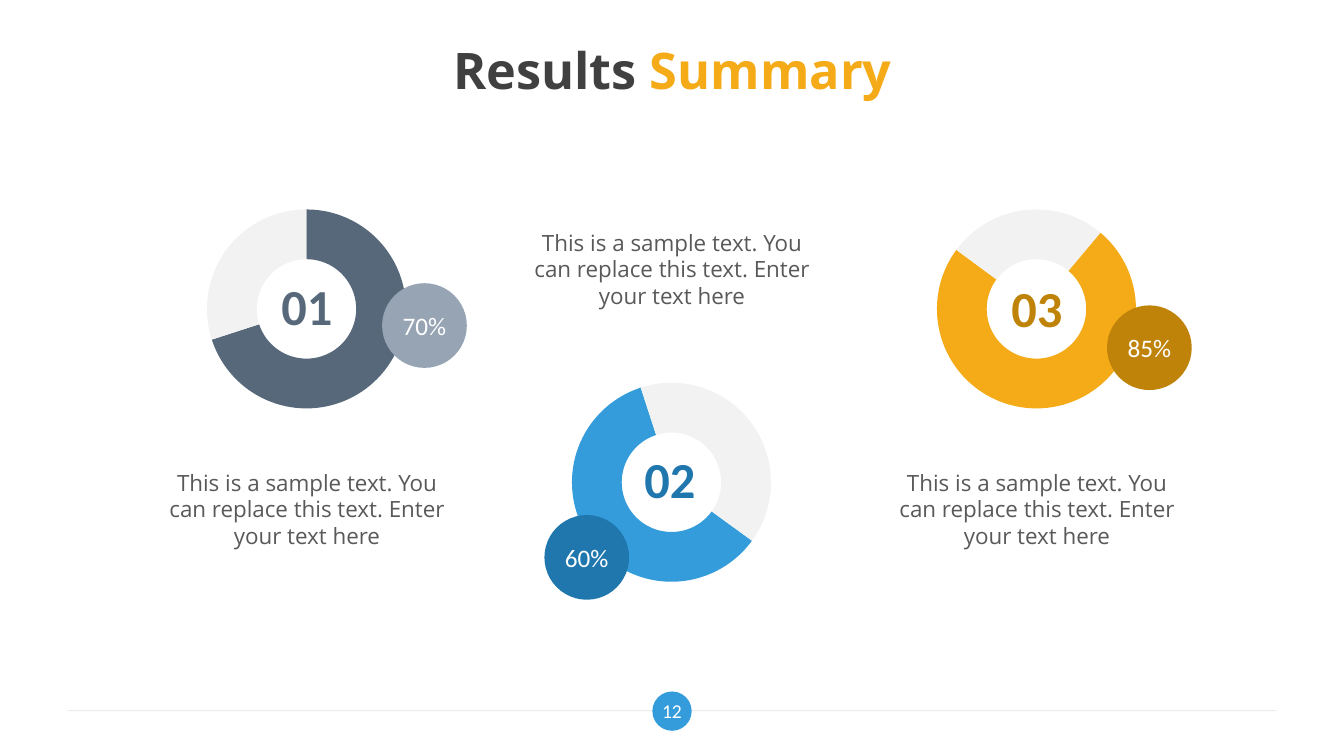
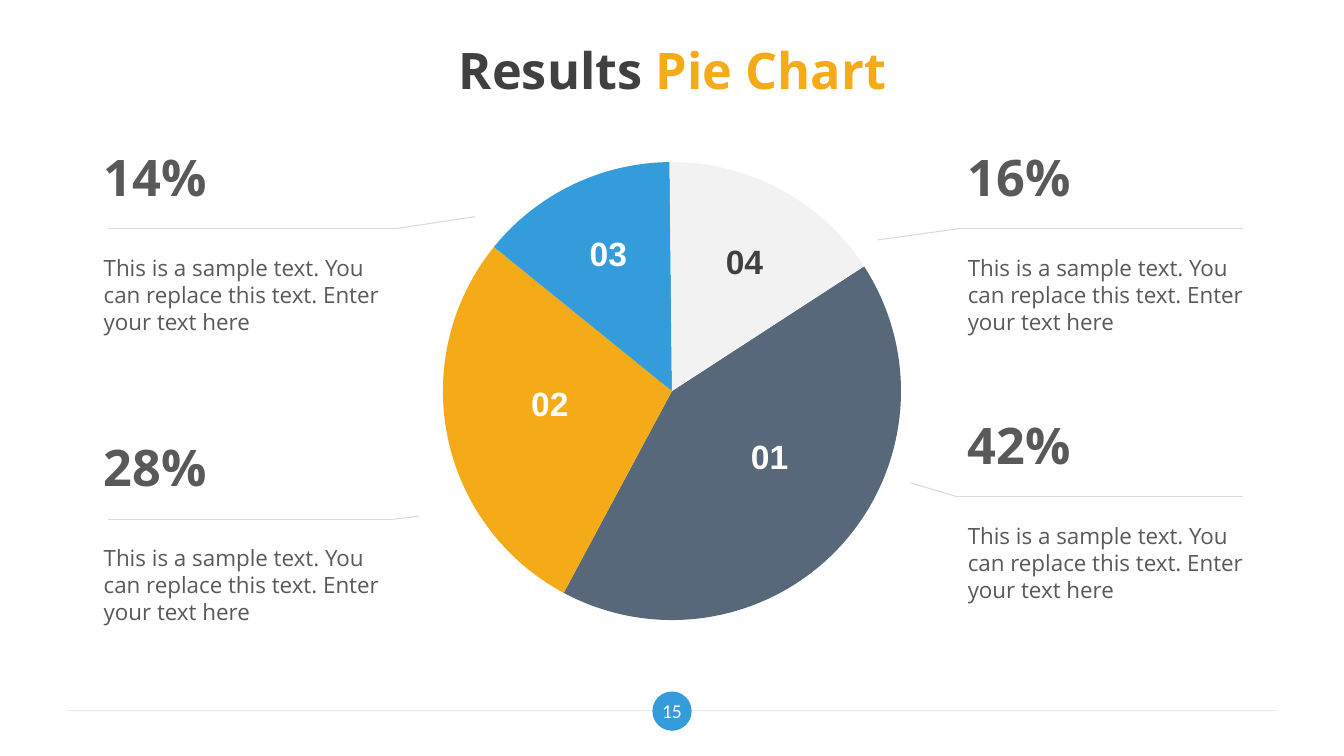
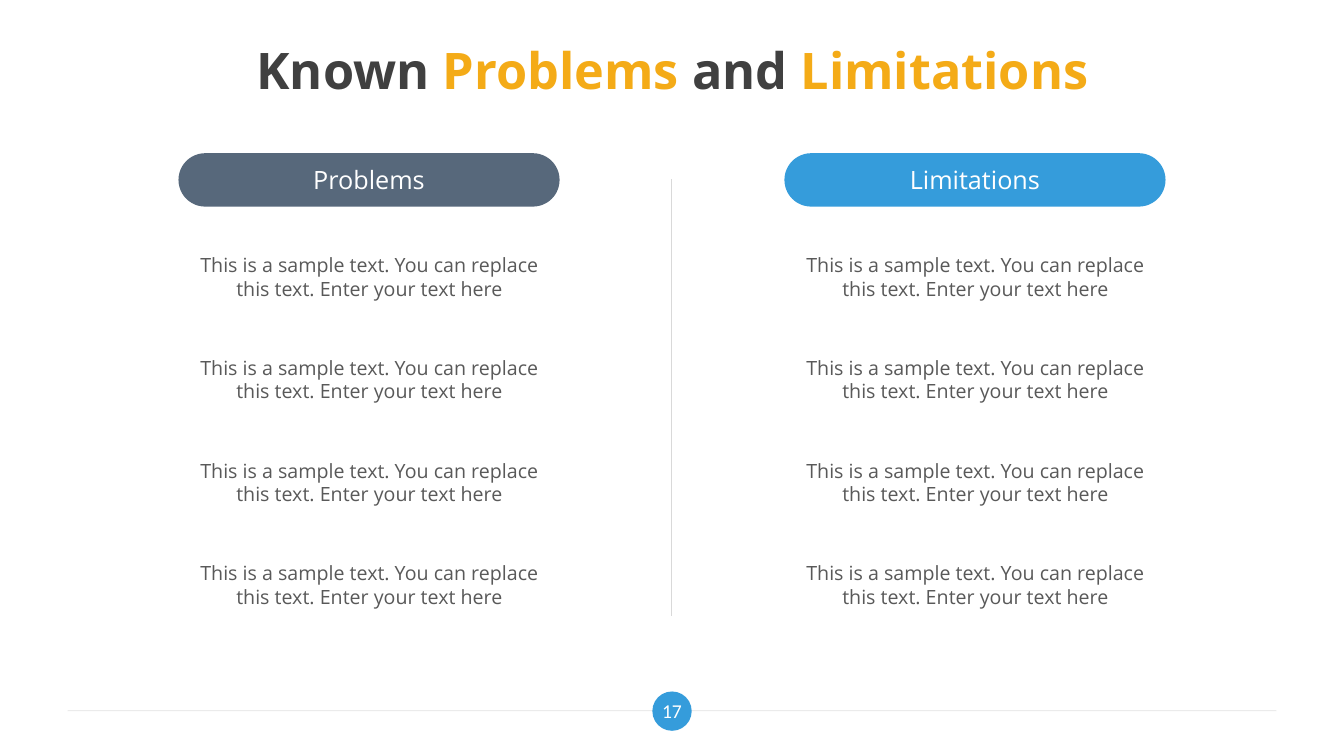
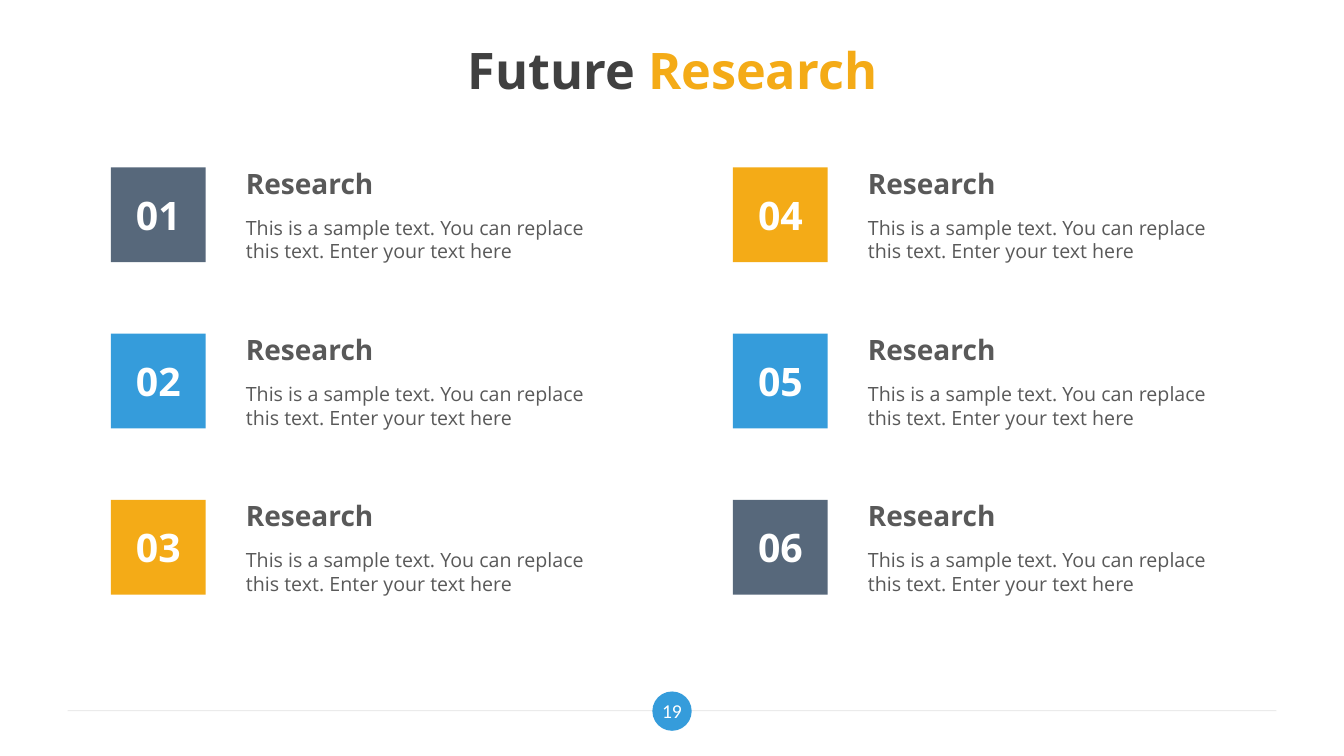
import dataclasses

import pptx
import pptx.chart.data
import pptx.dml.color
import pptx.enum.chart
import pptx.enum.shapes
import pptx.enum.text
import pptx.oxml.ns
import pptx.oxml.xmlchemy
import pptx.util

PX = 9144  # EMU in one px, 100 px to the inch
WIDE, HIGH = 1333, 750
SAMPLE = "This is a sample text. You can replace this text. Enter your text here"

SHAPE = pptx.enum.shapes.MSO_SHAPE
CHART = pptx.enum.chart.XL_CHART_TYPE
MID = pptx.enum.text.MSO_ANCHOR.MIDDLE
TOP = pptx.enum.text.MSO_ANCHOR.TOP
LEFT = pptx.enum.text.PP_ALIGN.LEFT
CENTER = pptx.enum.text.PP_ALIGN.CENTER


@dataclasses.dataclass(frozen=True)
class Theme:
    dark: str = "404040"
    body: str = "595959"
    rule: str = "D9D9D9"
    pale: str = "F2F2F2"
    white: str = "FFFFFF"
    black: str = "000000"
    slate: str = "57687B"
    mist: str = "96A4B4"
    blue: str = "359CDB"
    navy: str = "1F77AD"
    gold: str = "F4AB17"
    amber: str = "BF8309"
    main: str = "Open Sans"
    digit: str = "Calibri"
    label: str = "Arial"
    huge: int = 36
    large: int = 28
    mark: int = 24
    head: int = 20
    pill: int = 18
    text: int = 16
    small: int = 14
    chart: int = 10


T = Theme()


def rgb(code):
    return pptx.dml.color.RGBColor.from_string(code)


def place(box):
    return [pptx.util.Emu(n * PX) for n in box]


def node(tag, value=None):
    item = pptx.oxml.xmlchemy.OxmlElement(tag)
    if value is not None:
        item.set("val", str(value))
    return item


def style(font, size, color, face, bold=False):
    font.size = pptx.util.Pt(size)
    font.name = face
    font.bold = bold
    font.color.rgb = rgb(color)


def inset(frame, side, edge):
    frame.margin_left = frame.margin_right = pptx.util.Emu(side * PX)
    frame.margin_top = frame.margin_bottom = pptx.util.Emu(edge * PX)


def write(shape, words, size, color, face=T.main, bold=False,
          align=LEFT, anchor=TOP, wrap=True):
    frame = shape.text_frame
    frame.text = words
    frame.word_wrap = wrap
    frame.vertical_anchor = anchor
    inset(frame, 10, 5)
    para = frame.paragraphs[0]
    para.alignment = align
    style(para.runs[0].font, size, color, face, bold)


def label(slide, box, words, size, color, **look):
    write(slide.shapes.add_textbox(*place(box)), words, size, color, **look)


def badge(slide, kind, box, fill, words, size, side=10, **look):
    """Add a filled shape with white centred text."""
    shape = slide.shapes.add_shape(kind, *place(box))
    shape.shadow.inherit = False
    shape.fill.solid()
    shape.fill.fore_color.rgb = rgb(fill)
    shape.line.fill.background()
    write(shape, words, size, T.white, align=CENTER, anchor=MID, **look)
    inset(shape.text_frame, side, 5 if side else 0)
    return shape


def rule(slide, start, end, alpha=None):
    line = slide.shapes.add_connector(
        pptx.enum.shapes.MSO_CONNECTOR.STRAIGHT, *place(start + end))
    line.line.width = pptx.util.Pt(0.75)
    line.line.color.rgb = rgb(T.rule)
    props = line._element.spPr
    if alpha:
        tint = props.find(".//" + pptx.oxml.ns.qn("a:srgbClr"))
        tint.append(node("a:alpha", alpha * 1000))
    props.append(node("a:effectLst"))


def donut(slide, kind, box, values, colors, angle=0, hole=None):
    """Add a pie or doughnut chart with one colour per slice."""
    data = pptx.chart.data.CategoryChartData()
    data.categories = [str(n + 1) for n in range(len(values))]
    data.add_series("Series 1", values)
    chart = slide.shapes.add_chart(kind, *place(box), data).chart
    chart.has_legend = chart.has_title = False
    style(chart.font, T.chart, T.black, T.digit)
    plot = chart.plots[0]
    plot.vary_by_categories = True
    for n, color in enumerate(colors):
        form = plot.series[0].points[n].format
        form.fill.solid()
        form.fill.fore_color.rgb = rgb(color)
        form.line.fill.background()
    root = plot._element
    for tag, value in (("c:firstSliceAng", angle), ("c:holeSize", hole)):
        if value is None:
            continue
        old = root.find(pptx.oxml.ns.qn(tag))
        if old is None:
            root.append(node(tag, value))
        else:
            old.set("val", str(value))


def base(deck, number, title):
    """Add a slide with its footer and a title of (words, colour) runs."""
    slide = deck.slides.add_slide(deck.slide_layouts[6])
    rule(slide, (67, 705), (1266, 705), alpha=50)
    badge(slide, SHAPE.OVAL, (647, 686, 39, 39), T.blue, str(number),
          T.small, side=0, face=T.digit, wrap=False)
    frame = slide.shapes.add_textbox(*place((67, 30, 1200, 78))).text_frame
    frame.word_wrap = True
    frame.vertical_anchor = MID
    inset(frame, 13, 7)
    para = frame.paragraphs[0]
    para.alignment = CENTER
    for words, color in title:
        run = para.add_run()
        run.text = words
        style(run.font, T.huge, color, T.main, True)
    return slide


def ring(slide, box, name, values, angle, fill, deep, core, note):
    """Add a doughnut with its number; core and note are offsets in the box."""
    x, y = box[:2]
    donut(slide, CHART.DOUGHNUT, box, values, (fill, T.pale), angle, 75)
    label(slide, (x + core[0], y + core[1], 71, 71), name, T.huge, deep,
          face=T.digit, bold=True, align=CENTER, anchor=MID, wrap=False)
    label(slide, (x + 20, y + note, 299, 91), SAMPLE, T.text, T.body,
          align=CENTER)


def bubble(slide, spot, fill, words):
    badge(slide, SHAPE.OVAL, spot + (84, 84), fill, words, T.pill,
          side=0, face=T.digit)


def recap(deck):
    slide = base(deck, 12, [("Results ", T.dark), ("Summary", T.gold)])
    size = (338, 225)
    ring(slide, (135, 194) + size, "01", (70, 30), 0, T.slate, T.slate,
         (134, 73), 266)
    ring(slide, (497, 366) + size, "02", (60, 40), 126, T.blue, T.navy,
         (132, 73), -144)
    ring(slide, (859, 194) + size, "03", (74, 26), 40, T.gold, T.amber,
         (134, 75), 266)
    bubble(slide, (379, 281), T.mist, "70%")
    bubble(slide, (540, 511), T.navy, "60%")
    bubble(slide, (1098, 303), T.amber, "85%")


def callout(slide, spot, share, tip, right):
    """Add a share, its text and a rule that bends towards the tip."""
    x, y = spot
    level = y + 87
    near, far = (x, x + 283) if right else (x + 298, x + 14)
    label(slide, (x, y, 299, 71), share, T.huge, T.body, bold=True)
    rule(slide, (near, level), tip)
    rule(slide, (near, level), (far, level))
    label(slide, (x, y + 107, 299, 91), SAMPLE, T.text, T.body)


def pie(deck):
    slide = base(deck, 15, [("Results ", T.dark), ("Pie Chart", T.gold)])
    donut(slide, CHART.PIE, (305, 147, 723, 482), (42, 28, 14, 16),
          (T.slate, T.gold, T.blue, T.pale), 57)
    marks = (("01", 735, 428, T.white), ("02", 517, 375, T.white),
             ("03", 575, 226, T.white), ("04", 710, 234, T.dark))
    for name, x, y, color in marks:
        label(slide, (x, y, 58, 50), name, T.mark, color, face=T.label,
              bold=True, wrap=False)
    callout(slide, (950, 406), "42%", (903, 479), True)
    callout(slide, (950, 140), "16%", (871, 238), True)
    callout(slide, (93, 140), "14%", (471, 215), False)
    callout(slide, (93, 428), "28%", (416, 512), False)


def column(slide, box, name, fill, count=4):
    """Add a pill heading with evenly spaced texts under it."""
    x, y, wide = box[:3]
    pill = badge(slide, SHAPE.ROUNDED_RECTANGLE, box, fill, name, T.pill)
    pill.adjustments[0] = 0.5
    for n in range(count):
        label(slide, (x - 6, y + 94 + 102 * n, wide + 13, 57), SAMPLE,
              T.small, T.body, align=CENTER)


def limits(deck):
    slide = base(deck, 17, [("Known ", T.dark), ("Problems ", T.gold),
                            ("and ", T.dark), ("Limitations", T.gold)])
    rule(slide, (666, 178), (666, 611))
    column(slide, (177, 152, 378, 53), "Problems", T.slate)
    column(slide, (778, 152, 378, 53), "Limitations", T.blue)


def topic(slide, spot, name, fill):
    """Add a numbered square with a heading and text to its right."""
    x, y = spot
    badge(slide, SHAPE.RECTANGLE, (x, y, 94, 94), fill, name, T.large,
          bold=True)
    label(slide, (x + 124, y - 6, 372, 44), "Research", T.head, T.body,
          bold=True)
    label(slide, (x + 124, y + 43, 372, 57), SAMPLE, T.small, T.body)


def future(deck):
    slide = base(deck, 19, [("Future ", T.dark), ("Research", T.gold)])
    fills = (T.slate, T.blue, T.gold, T.gold, T.blue, T.slate)
    for n, fill in enumerate(fills):
        col, row = divmod(n, 3)
        topic(slide, (110 + 617 * col, 166 + 165 * row), f"{n + 1:02}", fill)


def main():
    deck = pptx.Presentation()
    deck.slide_width, deck.slide_height = place((WIDE, HIGH))
    for build in (recap, pie, limits, future):
        build(deck)
    deck.save("out.pptx")


if __name__ == "__main__":
    main()
